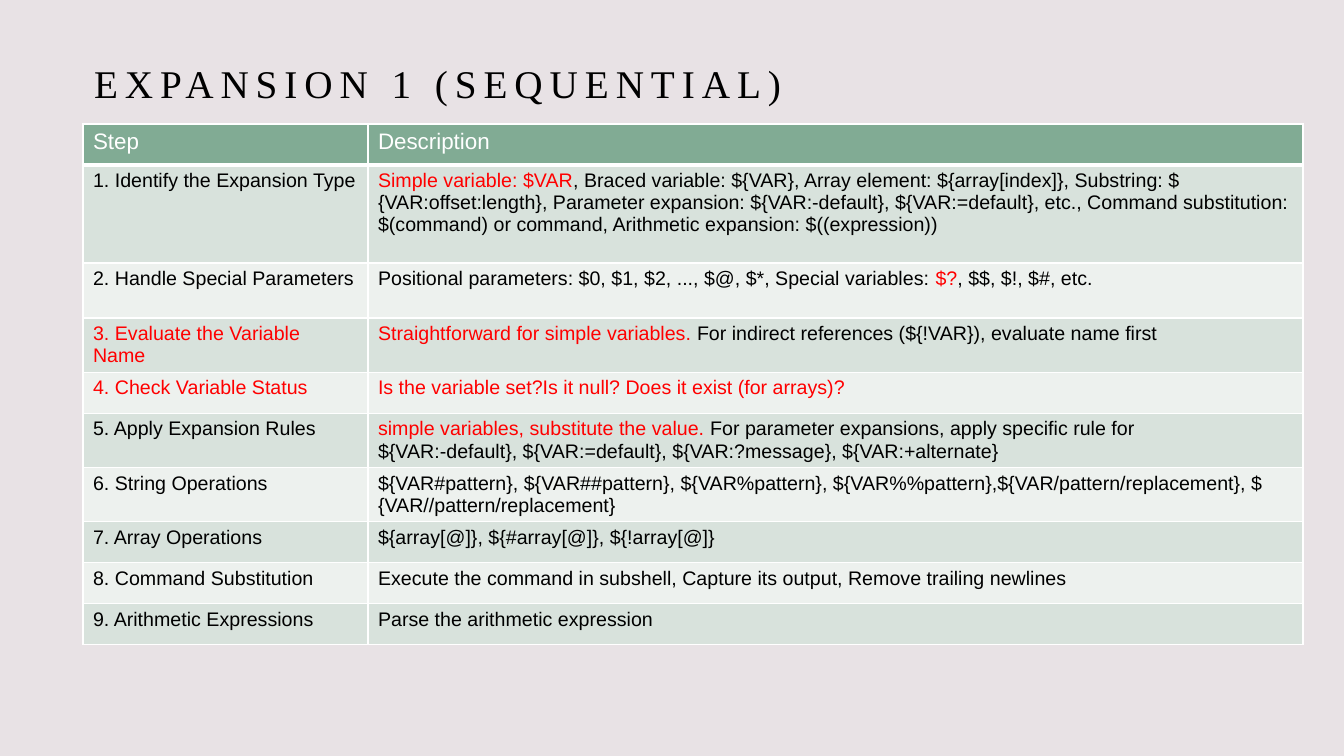
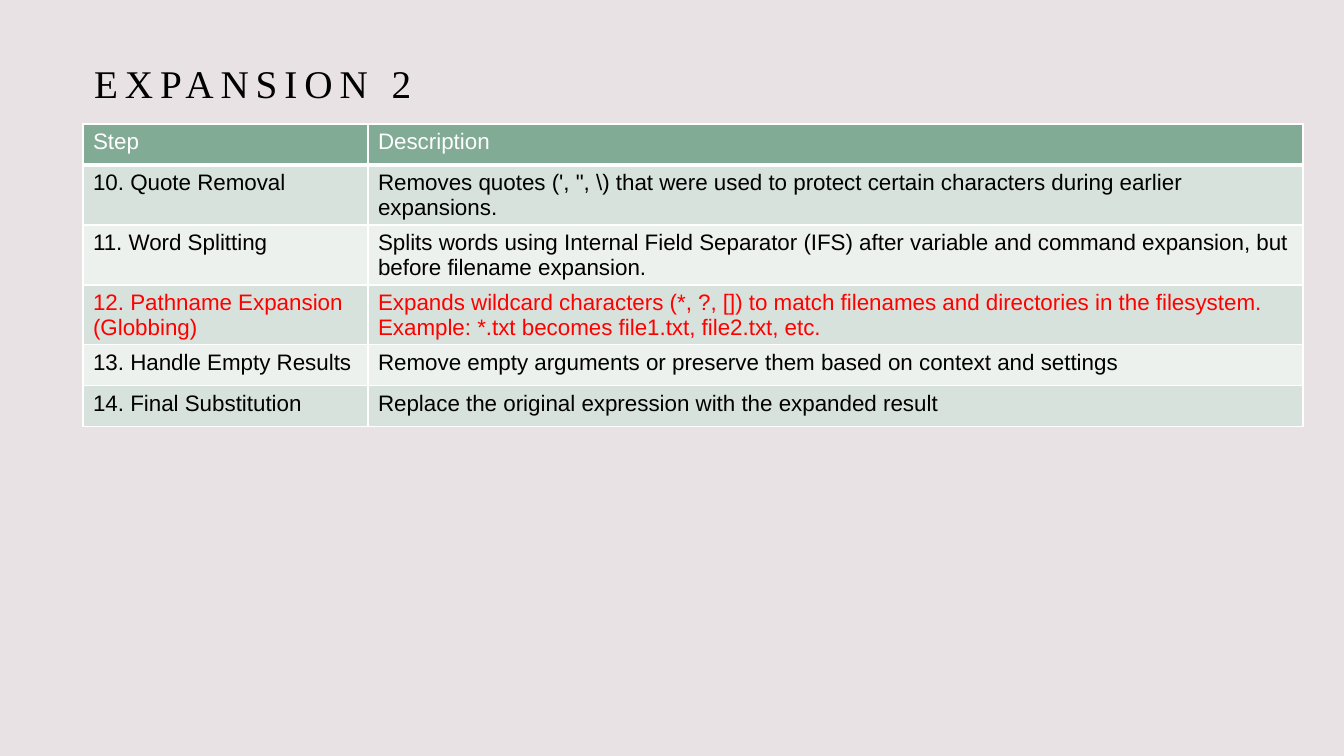
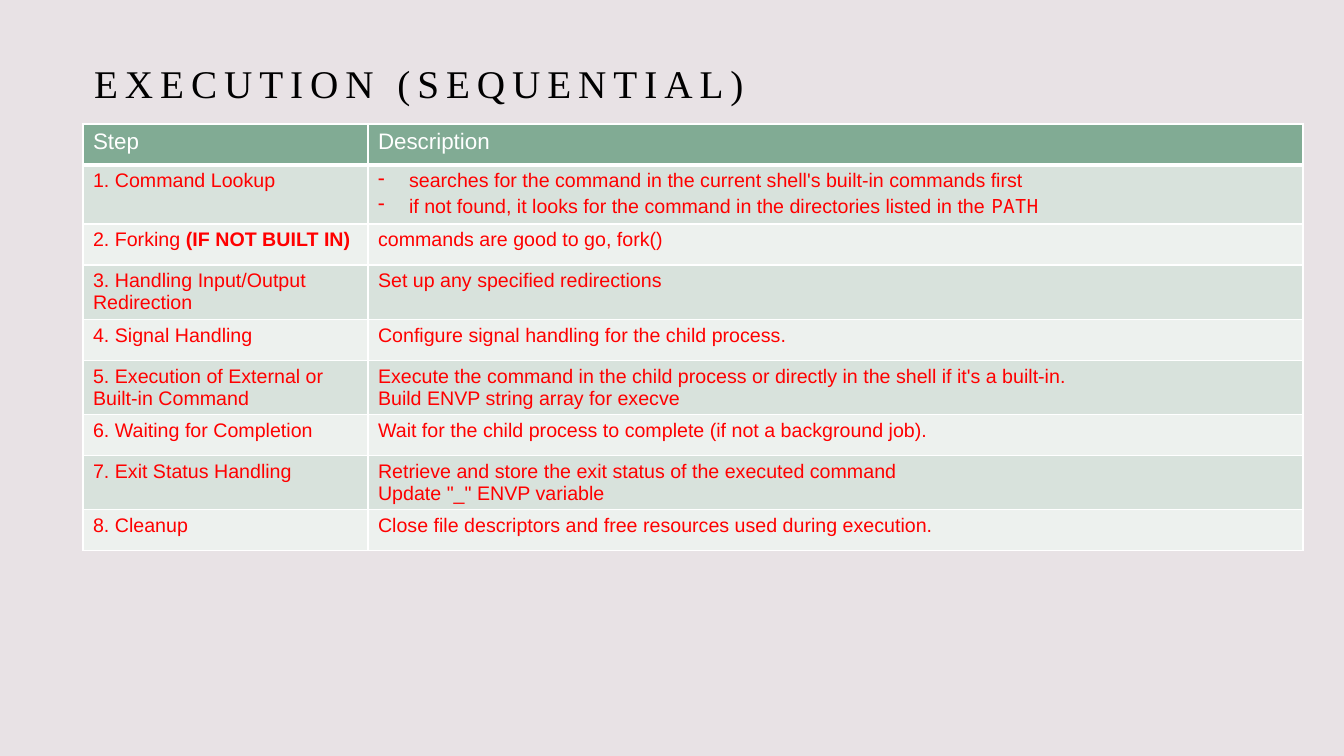
"""Build three slides of step tables on shell expansion and execution."""
from lxml import etree
from pptx import Presentation
from pptx.dml.color import RGBColor
from pptx.enum.text import MSO_ANCHOR, MSO_AUTO_SIZE, PP_ALIGN
from pptx.oxml.ns import qn
from pptx.util import Pt

TOP, LEFT, FIXED = MSO_ANCHOR.TOP, PP_ALIGN.LEFT, MSO_AUTO_SIZE.NONE
SCALE = 914400 / 100.8
BACK, BLACK, RED, WHITE = "E8E2E5", "000000", "FF0000", "FFFFFF"
GREEN, BANDS = "81AB94", ("D8E2DC", "EDF1EE")
SANS, SERIF, MONO = "Arial", "Times New Roman", "Noto Sans Mono"
PAGE = (1344, 756)
TITLE = (84, 45, 1058, 144)
GRID = (83, 124)
COLS = (285, 935)
HEAD = ("Step", "Description")
HEAD_H, HEAD_SIZE, THIN, THICK = 41, 16, 1, 3
INDENT = 31

# "|" splits runs; a leading mark gives a run its look; "- " starts a bullet
MARKS = {"^": {"color": RED}, "~": {"bold": True}, "`": {"name": MONO}}

SLIDES = [
    {"title": "EXPANSION 1 (SEQUENTIAL)", "size": 14, "color": BLACK, "rows": [
        (98, "1. Identify the Expansion Type",
         "^Simple variable: $VAR|, Braced variable: ${VAR}, Array element: "
         "${array[index]}, Substring: ${VAR:offset:length}, Parameter expansion: "
         "${VAR:-default}, ${VAR:=default}, etc., Command substitution: "
         "$(command) or command, Arithmetic expansion: $((expression))"),
        (55, "2. Handle Special Parameters",
         "Positional parameters: $0, $1, $2, ..., $@, $*, Special variables: "
         "|^$?|, $$, $!, $#, etc."),
        (54, "^3. Evaluate the Variable Name",
         "^Straightforward for simple variables. "
         "|For indirect references (${!VAR}), evaluate name first"),
        (41, "^4. Check Variable Status",
         "^Is the variable set?Is it null? Does it exist (for arrays)?"),
        (54, "5. Apply Expansion Rules",
         "^simple variables, substitute the value."
         "| For parameter expansions, apply specific rule for\n"
         "${VAR:-default}, ${VAR:=default}, ${VAR:?message}, ${VAR:+alternate}"),
        (54, "6. String Operations",
         "${VAR#pattern}, ${VAR##pattern}, ${VAR%pattern}, ${VAR%%pattern},"
         "${VAR/pattern/replacement}, ${VAR//pattern/replacement}"),
        (41, "7. Array Operations", "${array[@]}, ${#array[@]}, ${!array[@]}"),
        (41, "8. Command Substitution",
         "Execute the command in subshell, Capture its output, "
         "Remove trailing newlines"),
        (41, "9. Arithmetic Expressions", "Parse the arithmetic expression"),
    ]},
    {"title": "EXPANSION 2", "size": 16, "color": BLACK, "rows": [
        (60, "10. Quote Removal",
         "Removes quotes (', \", \\) that were used to protect certain "
         "characters during earlier expansions."),
        (60, "11. Word Splitting",
         "Splits words using Internal Field Separator (IFS) after variable and "
         "command expansion, but before filename expansion."),
        (60, "^12. Pathname Expansion (Globbing)",
         "^Expands wildcard characters (*, ?, []) to match filenames and "
         "directories in the filesystem. Example: *.txt becomes file1.txt, "
         "file2.txt, etc."),
        (41, "13. Handle Empty Results",
         "Remove empty arguments or preserve them based on context and settings"),
        (41, "14. Final Substitution",
         "Replace the original expression with the expanded result"),
    ]},
    {"title": "EXECUTION (SEQUENTIAL)", "size": 14, "color": RED, "rows": [
        (59, "1. Command Lookup",
         "- searches for the command in the current shell's built-in commands "
         "first\n- if not found, it looks for the command in the directories "
         "listed in the |`PATH"),
        (41, "2. Forking |~(IF NOT BUILT IN)", "commands are good to go, fork()"),
        (54, "3. Handling Input/Output Redirection",
         "Set up any specified redirections"),
        (41, "4. Signal Handling",
         "Configure signal handling for the child process."),
        (54, "5. Execution of External or Built-in Command",
         "Execute the command in the child process or directly in the shell if "
         "it's a built-in.\nBuild ENVP string array for execve"),
        (41, "6. Waiting for Completion",
         "Wait for the child process to complete (if not a background job)."),
        (54, "7. Exit Status Handling",
         "Retrieve and store the exit status of the executed command\n"
         "Update \"_\" ENVP variable"),
        (41, "8. Cleanup",
         "Close file descriptors and free resources used during execution."),
    ]},
]


def px(n):
    return round(n * SCALE)


def rgb(code):
    return RGBColor.from_string(code)


def style(font, size, color, name=SANS, bold=False):
    font.size, font.name, font.bold = Pt(size), name, bold
    font.color.rgb = rgb(color)


def bullet(para):
    props = para._p.get_or_add_pPr()
    props.set("marL", str(px(INDENT)))
    props.set("indent", str(-px(INDENT)))
    etree.SubElement(props, qn("a:buChar")).set("char", "-")


def write(frame, text, size, color):
    for i, line in enumerate(text.split("\n")):
        para = frame.add_paragraph() if i else frame.paragraphs[0]
        if line.startswith("- "):
            bullet(para)
            line = line[2:]
        for part in line.split("|"):
            look = MARKS.get(part[0], {})
            run = para.add_run()
            run.text = part[1:] if look else part
            style(run.font, **{"size": size, "color": color, **look})


def border(cell, top, base):
    props = cell._tc.get_or_add_tcPr()
    for side, width in zip("LRTB", (THIN, THIN, top, base)):
        line = etree.SubElement(props, qn("a:ln" + side), w=str(Pt(width)))
        fill = etree.SubElement(line, qn("a:solidFill"))
        etree.SubElement(fill, qn("a:srgbClr"), val=WHITE)


def add_grid(slide, data):
    rows = [(HEAD_H, *HEAD), *data["rows"]]
    high = sum(row[0] for row in rows)
    box = map(px, (*GRID, sum(COLS), high))
    table = slide.shapes.add_table(len(rows), len(COLS), *box).table
    table.horz_banding = False
    for col, wide in zip(table.columns, COLS):
        col.width = px(wide)
    for r, (tall, *texts) in enumerate(rows):
        table.rows[r].height = px(tall)
        for c, text in enumerate(texts):
            cell = table.cell(r, c)
            border(cell, THICK if r == 1 else THIN, THIN if r else THICK)
            cell.fill.solid()
            cell.fill.fore_color.rgb = rgb(BANDS[(r - 1) % 2] if r else GREEN)
            size, color = (data["size"], data["color"]) if r else (HEAD_SIZE, WHITE)
            write(cell.text_frame, text, size, color)


def add_title(slide, text):
    frame = slide.shapes.title.text_frame
    frame.text = text
    frame.vertical_anchor, frame.auto_size = TOP, FIXED
    para = frame.paragraphs[0]
    para.alignment, para.line_spacing = LEFT, 1.2
    run = para.runs[0]
    style(run.font, 28, BLACK, SERIF)
    run._r.get_or_add_rPr().set("spc", "500")


def main():
    deck = Presentation()
    deck.slide_width, deck.slide_height = map(px, PAGE)
    back = deck.slide_master.background.fill
    back.solid()
    back.fore_color.rgb = rgb(BACK)
    layout = deck.slide_layouts.get_by_name("Title Only")
    head = layout.placeholders[0]
    head.left, head.top, head.width, head.height = map(px, TITLE)
    for data in SLIDES:
        slide = deck.slides.add_slide(layout)
        add_title(slide, data["title"])
        add_grid(slide, data)
    deck.save("out.pptx")


if __name__ == "__main__":
    main()
